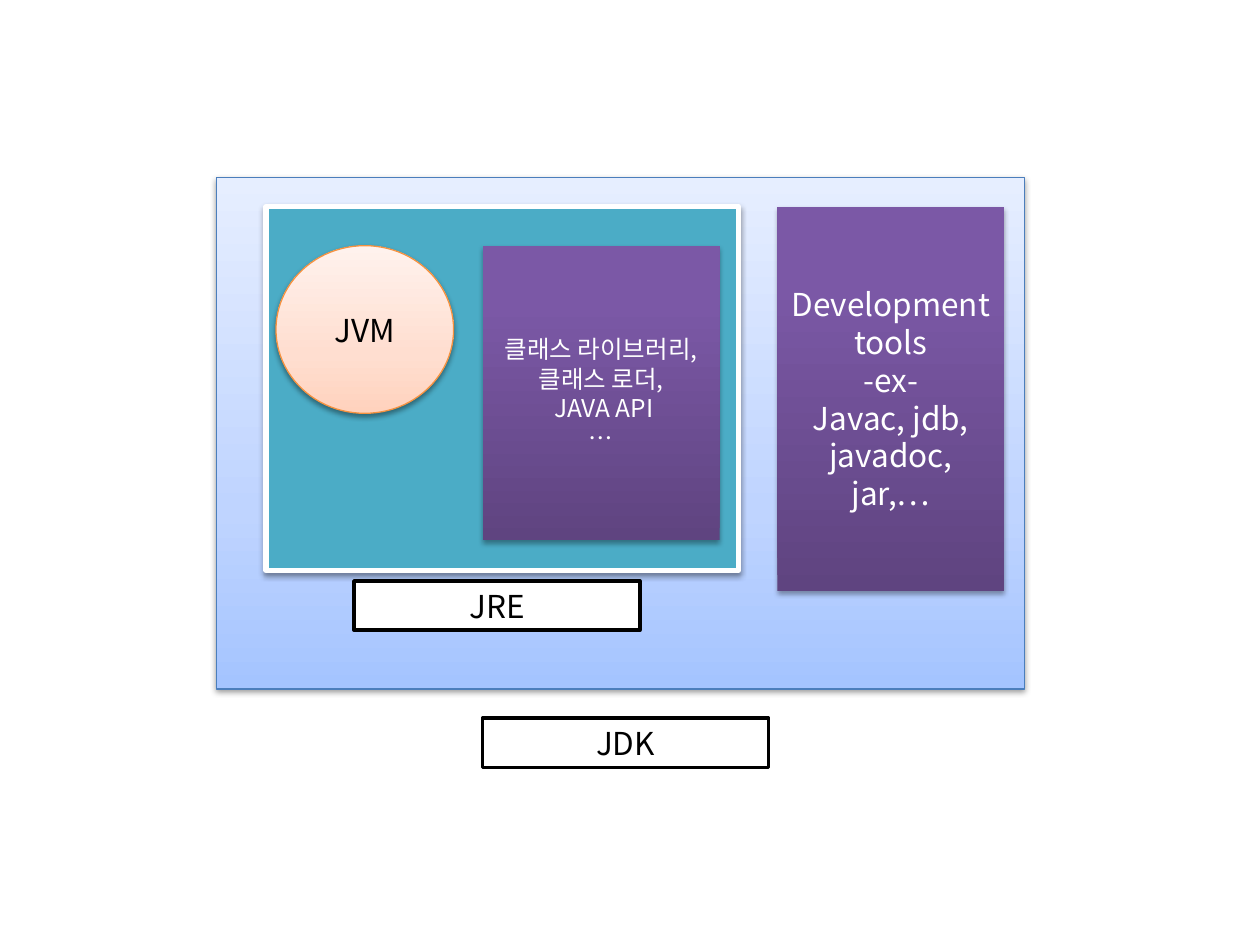
from copy import deepcopy

from lxml import etree
from pptx import Presentation
from pptx.dml.color import RGBColor
from pptx.enum.shapes import MSO_SHAPE
from pptx.enum.text import MSO_ANCHOR, PP_ALIGN
from pptx.oxml.ns import qn
from pptx.util import Pt

RECT, OVAL = MSO_SHAPE.RECTANGLE, MSO_SHAPE.OVAL
MIDDLE, CENTER = MSO_ANCHOR.MIDDLE, PP_ALIGN.CENTER
FONT = "Noto Sans CJK KR"

# Gradients run from bottom to top: (position in percent, colour)
BLUE = [(0, "A4C4FF"), (35, "BFD4FF"), (100, "E6EEFF")]
PEACH = [(0, "FFD2BD"), (35, "FFDED0"), (100, "FFF2ED")]
PURPLE = [(0, "5F4480"), (80, "7B58A6"), (100, "7C57A8")]

# Shadows: (opacity in percent, blur, distance)
SOFT, DEEP = (38, 3.1, 1.6), (35, 3.1, 1.8)

# Shared edges of the diagram
PANEL_TOP, INNER_TOP, LIBRARY_LEFT = 118, 140.4, 275.8
LABEL_SIZE = (163.4, 28.1)

STYLES = {
    "jdk": {"fill": BLUE, "line": ("4B7EBC", 0.75), "shadow": SOFT},
    "jre": {"fill": "4BACC6", "line": ("FFFFFF", 3), "shadow": SOFT},
    "jvm": {"fill": PEACH, "line": ("F69240", 0.75), "shadow": SOFT, "text": "000000"},
    "label": {"fill": "FFFFFF", "line": ("000000", 2), "text": "000000"},
    "tools": {"fill": PURPLE, "shadow": DEEP, "text": "FFFFFF"},
}

# (style, outline, left, top, (width, height), text size, paragraphs)
PARTS = [
    ("jdk", RECT, 123.8, 101.5, (461.5, 292.3), 18, []),
    ("jre", RECT, 152, PANEL_TOP, (270, 208), 18, []),
    ("jvm", OVAL, 157.7, INNER_TOP, (101.5, 95.8), 18, ["JVM"]),
    ("label", RECT, LIBRARY_LEFT, 410.4, LABEL_SIZE, 18, ["JDK"]),
    ("label", RECT, 202.3, 332, LABEL_SIZE, 18, ["JRE"]),
    ("tools", RECT, 444.3, PANEL_TOP, (129.6, 219.6), 18,
     ["Development tools", "-ex-", "Javac, jdb, javadoc, jar,…"]),
    ("tools", RECT, LIBRARY_LEFT, INNER_TOP, (135.4, 168.5), 14,
     ["클래스 라이브러리, 클래스 로더,", " JAVA API", "…"]),
]


def color(value):
    """Turn a hex string into a colour."""
    return RGBColor.from_string(value)


def set_fill(fill, paint):
    """Fill with one colour, or with a gradient given as stops."""
    if isinstance(paint, str):
        fill.solid()
        fill.fore_color.rgb = color(paint)
        return
    fill.gradient()
    fill.gradient_angle = 90
    stop_list = fill._fill._gradFill.find(qn("a:gsLst"))
    while len(stop_list) < len(paint):
        stop_list.append(deepcopy(stop_list[-1]))
    for stop, (position, value) in zip(fill.gradient_stops, paint):
        stop.position = position / 100
        stop.color.rgb = color(value)


def set_line(line, outline):
    """Draw the outline as (colour, width), or none."""
    if outline is None:
        line.fill.background()
        return
    value, width = outline
    line.color.rgb = color(value)
    line.width = Pt(width)


def set_shadow(shape, shadow):
    """Replace the theme shadow by a black one that falls downwards."""
    shape.shadow.inherit = False
    if shadow is None:
        return
    opacity, blur, distance = shadow
    effects = shape._element.spPr.find(qn("a:effectLst"))
    outer = etree.SubElement(effects, qn("a:outerShdw"), {
        "blurRad": str(Pt(blur)), "dist": str(Pt(distance)),
        "dir": "5400000", "rotWithShape": "0"})
    black = etree.SubElement(outer, qn("a:srgbClr"), val="000000")
    etree.SubElement(black, qn("a:alpha"), val=str(opacity * 1000))


def write_text(frame, paragraphs, size, value):
    """Write centred paragraphs in one font."""
    frame.word_wrap = True
    frame.vertical_anchor = MIDDLE
    font_format = {"name": FONT, "size": Pt(size)}
    for index, words in enumerate(paragraphs):
        paragraph = frame.add_paragraph() if index else frame.paragraphs[0]
        paragraph.alignment = CENTER
        run = paragraph.add_run()
        run.text = words
        run.font.color.rgb = color(value)
        for attribute, setting in font_format.items():
            setattr(run.font, attribute, setting)
        latin = run._r.rPr.find(qn("a:latin"))
        latin.addnext(latin.makeelement(qn("a:ea"), {"typeface": FONT}))


def add_part(slide, style_name, outline, left, top, size, text_size, paragraphs):
    """Add one part of the diagram."""
    style = STYLES[style_name]
    shape = slide.shapes.add_shape(outline, *map(Pt, (left, top, *size)))
    set_fill(shape.fill, style["fill"])
    set_line(shape.line, style.get("line"))
    set_shadow(shape, style.get("shadow"))
    if paragraphs:
        write_text(shape.text_frame, paragraphs, text_size, style["text"])


presentation = Presentation()
presentation.slide_width, presentation.slide_height = Pt(720), Pt(540)
diagram = presentation.slides.add_slide(presentation.slide_layouts[6])
for part in PARTS:
    add_part(diagram, *part)
presentation.save("out.pptx")
